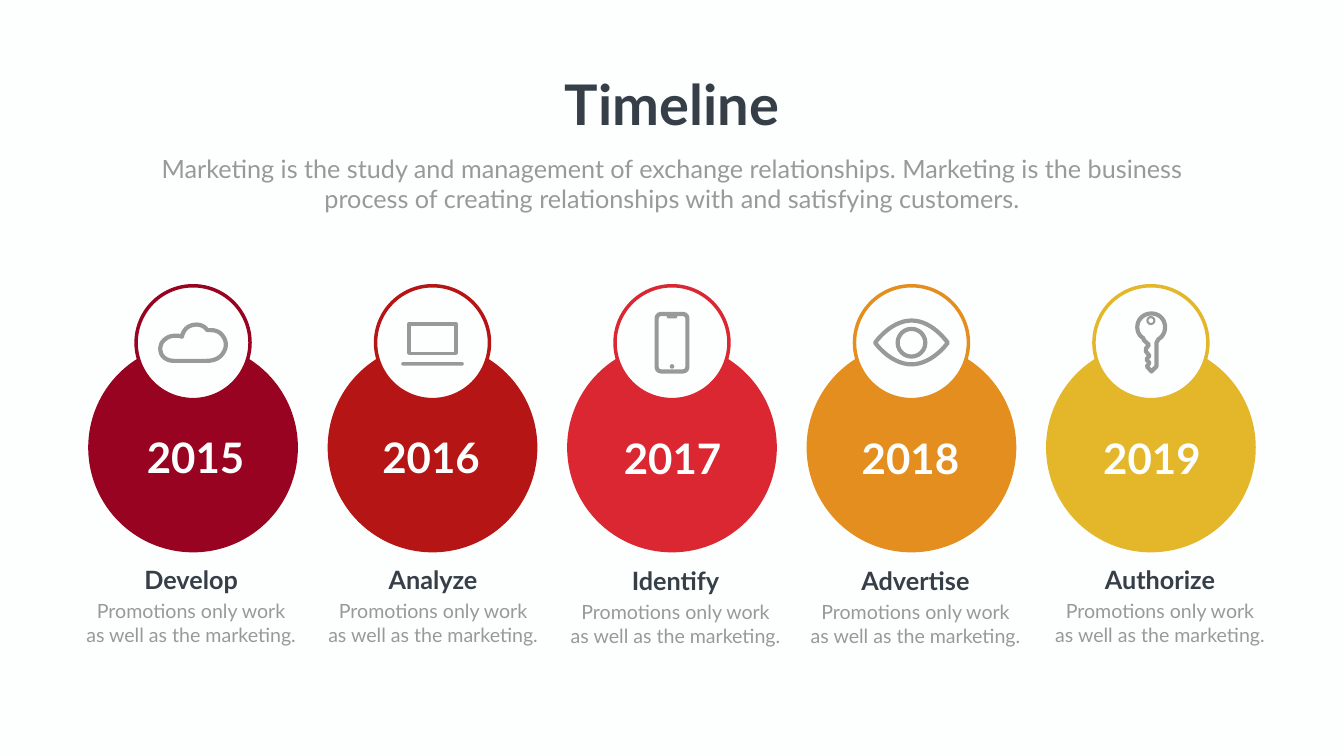
from dataclasses import dataclass
from typing import Any, Callable, Optional

from pptx import Presentation
from pptx.dml.color import RGBColor
from pptx.enum import shapes, text
from pptx.util import Emu, Pt

STEP = 9144
COLUMNS, ROWS = 2666, 1500
PITCH = 475
DISC_ROW, DISC_SIZE = 888, 416
RING_ROW, RING_SIZE = 680, 226

PAPER = RGBColor(0xFD, 0xFF, 0xFE)
INK = RGBColor(0x36, 0x3E, 0x48)
GREY = RGBColor(0x99, 0x99, 0x99)
CRIMSON = RGBColor(0x97, 0x03, 0x20)
BRICK = RGBColor(0xB5, 0x15, 0x15)
SCARLET = RGBColor(0xDB, 0x27, 0x32)
ORANGE = RGBColor(0xE5, 0x8E, 0x20)
GOLD = RGBColor(0xE4, 0xB6, 0x29)

TITLE = {"size": Pt(80), "bold": True}
LEAD = {"size": Pt(36), "bold": False}
YEAR = {"size": Pt(60), "bold": True}
HEADING = {"size": Pt(36), "bold": True}
DETAIL = {"size": Pt(28), "bold": False}

OVAL = shapes.MSO_SHAPE.OVAL
RECTANGLE = shapes.MSO_SHAPE.RECTANGLE
ROUNDED = shapes.MSO_SHAPE.ROUNDED_RECTANGLE

CLOUD = [
    (-37, 36), (-48, 36, -57, 32, -62, 24), (-66, 16, -66, 8, -62, 0),
    (-59, -4, -55, -8, -51, -10), (-46, -13, -40, -14, -32, -14),
    (-29, -14, -26, -13, -22, -12), (-19, -28, -7, -36, 7, -36),
    (15, -36, 24, -32, 28, -25), (30, -25, 33, -25, 35, -25),
    (44, -25, 52, -22, 57, -16), (62, -10, 65, -4, 65, 4),
    (65, 12, 61, 20, 55, 26), (48, 33, 38, 36, 26, 36),
]
EYE = [
    (-72, 0), (-62, -14, -34, -44, 0, -44), (34, -44, 60, -16, 72, 0),
    (62, 14, 34, 43, 0, 43), (-34, 43, -62, 14, -72, 0),
]
KEY = [
    (-15, -9), (-23, -14, -27, -22, -27, -31), (-27, -46, -15, -58, 1, -58),
    (17, -58, 28, -46, 28, -31), (28, -21, 24, -13, 15, -7),
    (11, 0), (11, 47), (1, 57), (-8, 47), (-3, 40), (-9, 33), (-3, 26),
    (-10, 17), (-10, 12), (-4, 4), (-14, -5),
]


@dataclass(frozen=True)
class Milestone:
    year: str
    heading: str
    color: RGBColor
    icon: Callable[[Any, float], None]
    year_center: int
    year_top: int
    caption_center: float
    caption_top: int


def steps(value: float) -> Emu:
    return Emu(round(value * STEP))


def paint(shape: Any, fill: Optional[RGBColor], line: Optional[RGBColor], width: float) -> None:
    shape.shadow.inherit = False
    if fill is None:
        shape.fill.background()
    else:
        shape.fill.solid()
        shape.fill.fore_color.rgb = fill
    if line is None:
        shape.line.fill.background()
    else:
        shape.line.color.rgb = line
        shape.line.width = Pt(width)


def draw_preset(page: Any, kind: Any, x: float, y: float, width: float, height: float,
                fill: Optional[RGBColor] = None, line: Optional[RGBColor] = None,
                weight: float = 6) -> Any:
    shape = page.shapes.add_shape(kind, steps(x - width / 2), steps(y - height / 2),
                                  steps(width), steps(height))
    paint(shape, fill, line, weight)
    return shape


def flatten(outline: list[tuple[int, ...]], pieces: int = 12) -> list[tuple[float, float]]:
    points = [outline[0]]
    for segment in outline[1:]:
        if len(segment) == 2:
            points.append(segment)
            continue
        x0, y0 = points[-1]
        x1, y1, x2, y2, x3, y3 = segment
        for piece in range(1, pieces + 1):
            t = piece / pieces
            a, b, c, d = (1 - t) ** 3, 3 * t * (1 - t) ** 2, 3 * t * t * (1 - t), t ** 3
            points.append((a * x0 + b * x1 + c * x2 + d * x3,
                           a * y0 + b * y1 + c * y2 + d * y3))
    return points


def draw_outline(page: Any, center: float, outline: list[tuple[int, ...]]) -> None:
    points = [(steps(center + x), steps(RING_ROW + y)) for x, y in flatten(outline)]
    builder = page.shapes.build_freeform(*points[0], scale=1.0)
    builder.add_line_segments(points[1:], close=True)
    paint(builder.convert_to_shape(), None, GREY, 6)


def draw_cloud(page: Any, center: float) -> None:
    draw_outline(page, center, CLOUD)


def draw_laptop(page: Any, center: float) -> None:
    draw_preset(page, RECTANGLE, center, RING_ROW - 8, 94, 58, line=GREY, weight=5)
    bar = draw_preset(page, ROUNDED, center, RING_ROW + 42, 124, 7, fill=GREY)
    bar.adjustments[0] = 0.5


def draw_phone(page: Any, center: float) -> None:
    case = draw_preset(page, ROUNDED, center, RING_ROW, 61, 114, line=GREY)
    case.adjustments[0] = 0.14
    draw_preset(page, OVAL, center, RING_ROW + 47, 9, 9, fill=GREY)
    speaker = draw_preset(page, ROUNDED, center, RING_ROW - 51, 21, 5, fill=GREY)
    speaker.adjustments[0] = 0.5


def draw_eye(page: Any, center: float) -> None:
    draw_outline(page, center, EYE)
    draw_preset(page, OVAL, center, RING_ROW, 55, 55, line=GREY)


def draw_key(page: Any, center: float) -> None:
    draw_outline(page, center, KEY)
    draw_preset(page, OVAL, center, RING_ROW - 44, 14, 14, line=GREY, weight=3)


def write(parent: Any, lines: list[str], center: float, top: float, width: float,
          height: float, style: dict[str, Any], color: RGBColor, wrap: bool = True) -> None:
    box = parent.shapes.add_textbox(steps(center - width / 2), steps(top),
                                    steps(width), steps(height))
    frame = box.text_frame
    frame.word_wrap = wrap
    for index, line in enumerate(lines):
        para = frame.add_paragraph() if index else frame.paragraphs[0]
        para.alignment = text.PP_ALIGN.CENTER
        span = para.add_run()
        span.text = line
        for name, value in {"name": "Lato", **style}.items():
            setattr(span.font, name, value)
        span.font.color.rgb = color


def draw_milestone(page: Any, item: Milestone, center: float) -> None:
    draw_preset(page, OVAL, center, DISC_ROW, DISC_SIZE, DISC_SIZE, fill=item.color)
    draw_preset(page, OVAL, center, RING_ROW, RING_SIZE, RING_SIZE, PAPER, item.color, 5)
    item.icon(page, center)
    write(page, [item.year], item.year_center, item.year_top, 261, 111, YEAR, PAPER)
    caption = page.shapes.add_group_shape()
    write(caption, [item.heading], item.caption_center, item.caption_top, 261, 71, HEADING, INK)
    write(caption, ["Promotions only work", "as well as the marketing."],
          item.caption_center, item.caption_top + 70, 494, 104, DETAIL, GREY)


MILESTONES = [
    Milestone("2015", "Develop", CRIMSON, draw_cloud, 388, 852, 379, 1114),
    Milestone("2016", "Analyze", BRICK, draw_laptop, 855, 851, 859, 1114),
    Milestone("2017", "Identify", SCARLET, draw_phone, 1334, 853, 1340, 1116),
    Milestone("2018", "Advertise", ORANGE, draw_eye, 1806, 854, 1816, 1116),
    Milestone("2019", "Authorize", GOLD, draw_key, 2285, 853, 2301, 1114),
]


def main() -> None:
    deck = Presentation()
    deck.slide_width, deck.slide_height = steps(COLUMNS), steps(ROWS)
    page = deck.slides.add_slide(deck.slide_layouts[6])
    page.background.fill.solid()
    page.background.fill.fore_color.rgb = PAPER
    write(page, ["Timeline"], COLUMNS / 2, 133, 453, 145, TITLE, INK, wrap=False)
    write(page, ["Marketing is the study and management of exchange relationships. "
                 "Marketing is the business process of creating relationships with "
                 "and satisfying customers."], COLUMNS / 2, 299, 2130, 131, LEAD, GREY)
    middle = len(MILESTONES) // 2
    for index, item in enumerate(MILESTONES):
        draw_milestone(page, item, COLUMNS / 2 + (index - middle) * PITCH)
    deck.save("out.pptx")


if __name__ == "__main__":
    main()
